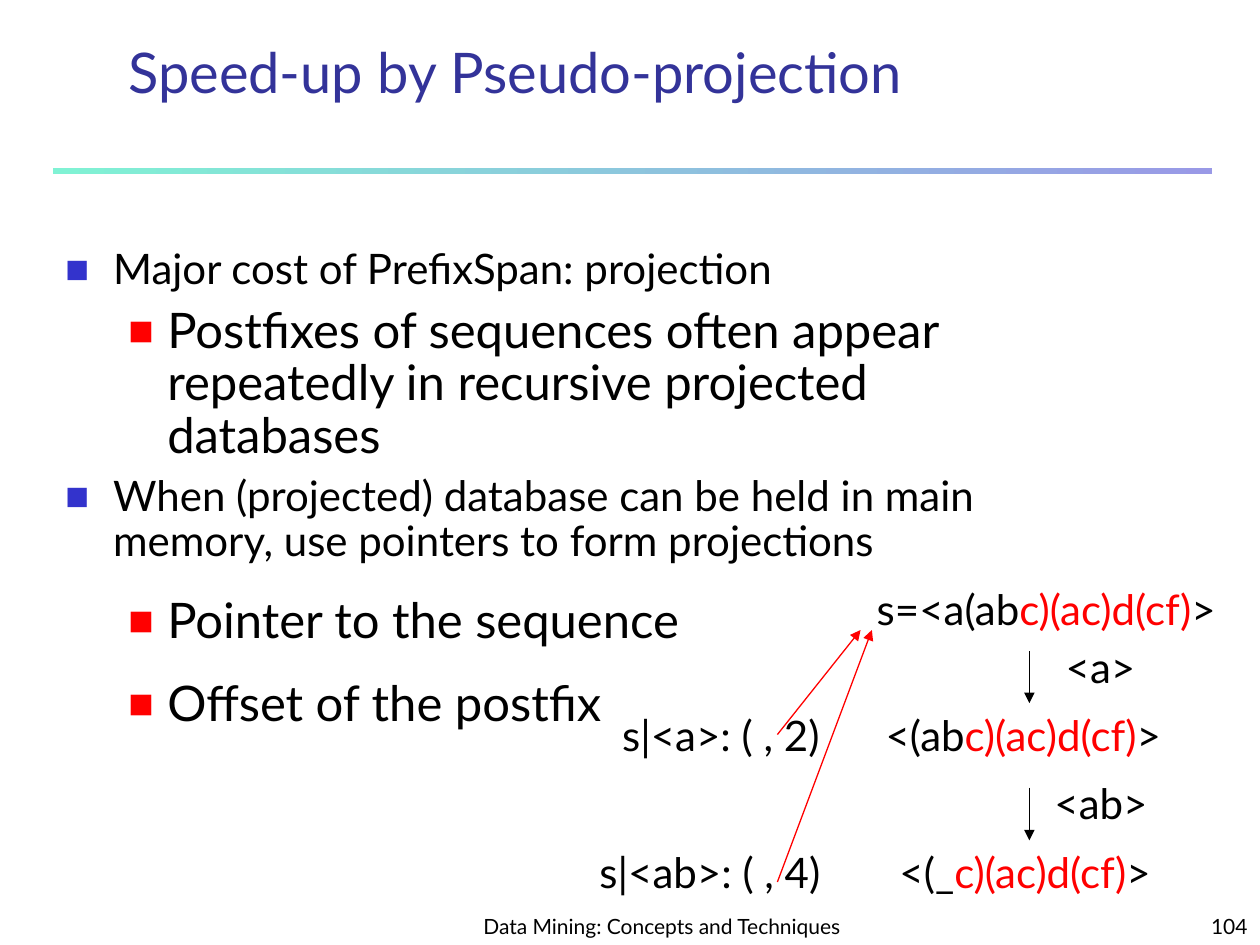
import pptx
import pptx.dml.color
import pptx.enum.shapes
import pptx.enum.text
import pptx.oxml
import pptx.oxml.ns
import pptx.util

Inches = pptx.util.Inches
Pt = pptx.util.Pt
RGBColor = pptx.dml.color.RGBColor
Align = pptx.enum.text.PP_ALIGN
Anchor = pptx.enum.text.MSO_ANCHOR

FONT = "Lato"
BLACK = RGBColor(0, 0, 0)
RED = RGBColor(0xFF, 0, 0)
BLUE = RGBColor(0x33, 0x33, 0xCC)
NAVY = RGBColor(0x33, 0x33, 0x99)
MINT = RGBColor(0x80, 0xF2, 0xD4)
LILAC = RGBColor(0x99, 0x99, 0xE6)

POSTFIX = ("c)(ac)d(cf)", RED)

# Per level: size, left, hanging, space before, bullet colour, bullet percent
LEVELS = [(24, 0.38, 0.38, 6, BLUE, 60), (28, 0.81, 0.31, 7, RED, 55)]

# Level, line spacing, text
POINTS = [
    (0, 0.9, "Major cost of PrefixSpan: projection"),
    (1, 0.9, "Postfixes of sequences often appear repeatedly "
             "in recursive projected databases"),
    (0, 0.9, "When (projected) database can be held in main memory, "
             "use pointers to form projections"),
    (1, 1.2, "Pointer to the sequence"),
    (1, 1.2, "Offset of the postfix"),
]

# Left, top, width, runs
LABELS = [
    (6.86, 4.58, 3.09, [("s=<a(ab", BLACK), POSTFIX, (">", BLACK)]),
    (6.93, 5.58, 2.56, [("<(ab", BLACK), POSTFIX, (">", BLACK)]),
    (7.04, 6.67, 2.31, [("<(_", BLACK), POSTFIX, (">", BLACK)]),
    (8.36, 5.04, 0.77, [("<a>", BLACK)]),
    (8.27, 6.12, 0.97, [("<ab>", BLACK)]),
    (4.84, 5.58, 1.94, [("s|<a>: ( , 2)", BLACK)]),
    (4.66, 6.67, 2.14, [("s|<ab>: ( , 4)", BLACK)]),
]

# Start, end, colour
ARROWS = [
    ((8.17, 5.17), (8.17, 5.58), BLACK),
    ((8.17, 6.25), (8.17, 6.67), BLACK),
    ((6.17, 5.83), (6.83, 5), RED),
    ((6.17, 7), (6.92, 5), RED),
]


def add_node(parent, tag, **attrs):
    node = pptx.oxml.parse_xml(
        f'<a:{tag} {pptx.oxml.ns.nsdecls("a")}/>')
    for key, value in attrs.items():
        node.set(key, str(value))
    parent.append(node)
    return node


def add_run(para, text, size, color):
    run = para.add_run()
    run.text = text
    run.font.size = Pt(size)
    run.font.name = FONT
    run.font.color.rgb = color


def add_box(slide, left, top, width, height, wrap=True, anchor=Anchor.TOP):
    box = slide.shapes.add_textbox(
        Inches(left), Inches(top), Inches(width), Inches(height))
    frame = box.text_frame
    frame.word_wrap = wrap
    frame.vertical_anchor = anchor
    return frame


def add_line(slide, place, text, size, color, align=Align.LEFT):
    para = add_box(slide, *place, anchor=Anchor.BOTTOM).paragraphs[0]
    para.alignment = align
    add_run(para, text, size, color)


def add_label(slide, left, top, width, runs):
    frame = add_box(slide, left, top, width, 0.5, wrap=False)
    frame.auto_size = pptx.enum.text.MSO_AUTO_SIZE.SHAPE_TO_FIT_TEXT
    for text, color in runs:
        add_run(frame.paragraphs[0], text, 24, color)


def add_points(slide):
    frame = add_box(slide, 0.42, 1.92, 7.67, 5)
    for i, (level, spacing, text) in enumerate(POINTS):
        size, left, hang, before, color, percent = LEVELS[level]
        para = frame.add_paragraph() if i else frame.paragraphs[0]
        para.level = level
        para.line_spacing = spacing
        para.space_before = Pt(before if i else 0)
        props = para._p.get_or_add_pPr()
        props.set("marL", str(Inches(left)))
        props.set("indent", str(-Inches(hang)))
        add_node(add_node(props, "buClr"), "srgbClr", val=color)
        add_node(props, "buSzPct", val=percent * 1000)
        add_node(props, "buFont", typeface=FONT)
        add_node(props, "buChar", char="■")
        add_run(para, text, size, BLACK)


def add_arrow(slide, start, end, color):
    arrow = slide.shapes.add_connector(
        pptx.enum.shapes.MSO_CONNECTOR.STRAIGHT,
        *map(Inches, start + end))
    arrow.line.color.rgb = color
    arrow.line.width = Pt(0.75)
    add_node(arrow.line._get_or_add_ln(), "tailEnd", type="triangle")
    add_node(arrow._element.spPr, "effectLst")


def add_rule(slide):
    rule = slide.shapes.add_shape(
        pptx.enum.shapes.MSO_SHAPE.RECTANGLE,
        Inches(0.42), Inches(1.33), Inches(9.2), Inches(0.05))
    rule.shadow.inherit = False
    rule.line.fill.background()
    rule.fill.gradient()
    rule.fill.gradient_angle = 0
    for stop, color, pos in zip(
            rule.fill.gradient_stops, (MINT, LILAC), (0, 1)):
        stop.color.rgb = color
        stop.position = pos


def main():
    deck = pptx.Presentation()
    deck.slide_width, deck.slide_height = Inches(10), Inches(7.5)
    slide = deck.slides.add_slide(deck.slide_layouts[6])

    # Heading and body
    add_rule(slide)
    add_line(slide, (0.92, 0.42, 8.52, 0.46),
             "Speed-up by Pseudo-projection", 32, NAVY)
    add_points(slide)

    # Projection diagram
    for label in LABELS:
        add_label(slide, *label)
    for arrow in ARROWS:
        add_arrow(slide, *arrow)

    # Footer
    add_line(slide, (3.67, 7.08, 3.17, 0.42),
             "Data Mining: Concepts and Techniques", 12, BLACK, Align.CENTER)
    add_line(slide, (7.92, 7.08, 2.08, 0.42), "104", 12, BLACK, Align.RIGHT)

    deck.save("out.pptx")


if __name__ == "__main__":
    main()
